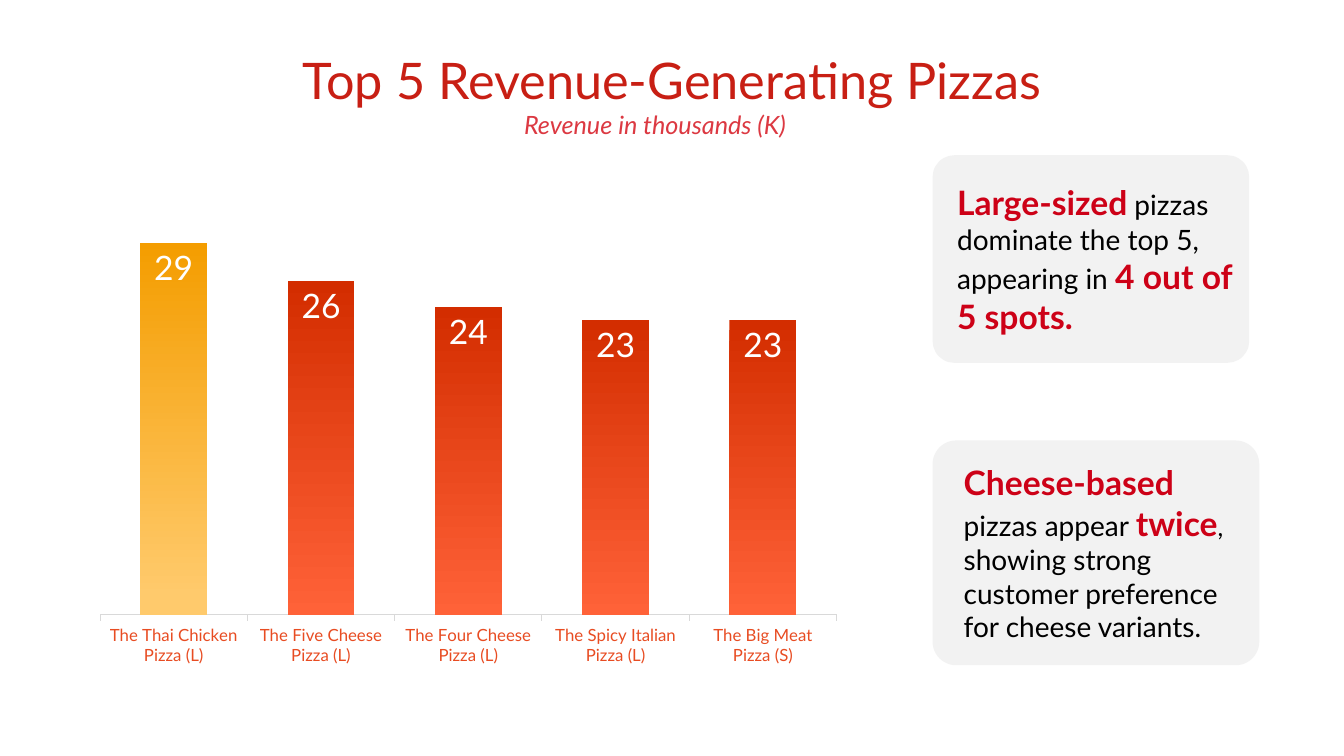
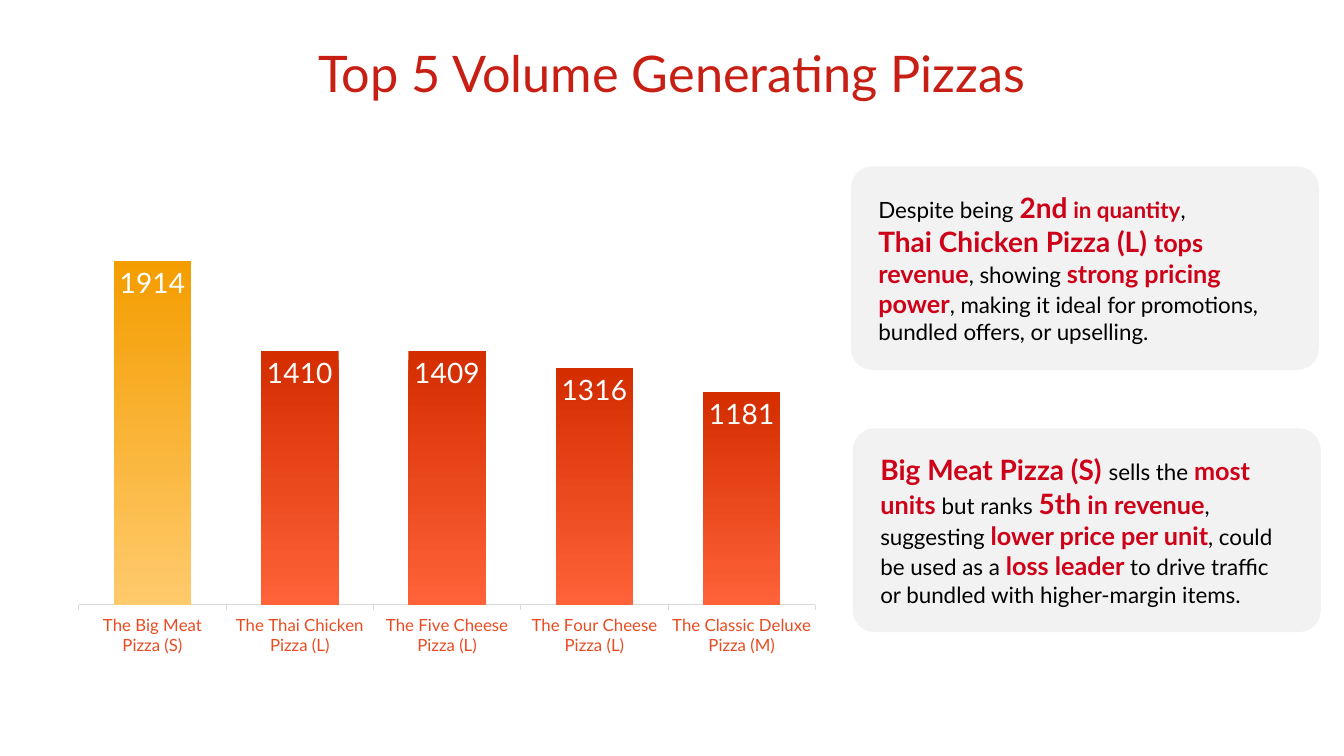
import pptx
import pptx.chart.data
import pptx.dml.color
import pptx.enum.chart
import pptx.enum.shapes
import pptx.enum.text
import pptx.oxml
import pptx.util

Inches, Pt = pptx.util.Inches, pptx.util.Pt

# Shared style
FONT = "Lato"
TITLE_RED, SUBTITLE_RED, STRONG_RED = "C81F14", "DC3942", "CD0117"
BLACK, WHITE, CARD_GREY, AXIS_GREY, CATEGORY_ORANGE = "000000", "FFFFFF", "F2F2F2", "D9D9D9", "E84C22"
LEADER_GRADIENT = ("F49D00", "FFCA6C")
OTHER_GRADIENT = ("D32D00", "FF6238")
CHART_SIZE = (7.61, 5.18)
PLOT_AREA = {"x": 0.02, "y": 0.02, "w": 0.96, "h": 0.86}  # fractions of the chart

# Content: a card run is (text, size) or (text, size, True) for emphasis
SLIDES = [
    {
        "title": "Top 5 Revenue-Generating Pizzas",
        "title_box": (2.53, 0.43, 8.27, 0.71),
        "subtitle": "Revenue in thousands (K)",
        "chart_at": (0.84, 1.54),
        "bars": [
            ("The Thai Chicken Pizza (L)", 29),
            ("The Five Cheese Pizza (L)", 26),
            ("The Four Cheese Pizza (L)", 24),
            ("The Spicy Italian Pizza (L)", 23),
            ("The Big Meat Pizza (S)", 23),
        ],
        "axis_max": 35, "gap": 120, "label_size": 24, "leader_end": 0.95,
        "cards": [
            {"box": (9.25, 1.54, 3.14, 2.06), "margins": (0.18, 0.03), "paragraphs": [
                [("Large-sized", 24, True), (" pizzas dominate the top 5, appearing in ", 20),
                 ("4 out of 5 spots.", 24, True)],
            ]},
            {"box": (9.25, 4.37, 3.24, 2.23), "margins": (0.24, 0.03), "paragraphs": [
                [("Cheese-based", 24, True), (" ", 18), ("pizzas appear ", 20), ("twice", 24, True),
                 (", ", 18), ("showing strong customer preference for cheese variants.", 20)],
            ]},
        ],
    },
    {
        "title": "Top 5 Volume Generating Pizzas",
        "title_box": (2.03, 0.36, 9.27, 0.71),
        "subtitle": None,
        "chart_at": (0.63, 1.44),
        "bars": [
            ("The Big Meat Pizza (S)", 1914),
            ("The Thai Chicken Pizza (L)", 1410),
            ("The Five Cheese Pizza (L)", 1409),
            ("The Four Cheese Pizza (L)", 1316),
            ("The Classic Deluxe Pizza (M)", 1181),
        ],
        "axis_max": 2500, "gap": 90, "label_size": 20, "leader_end": 1.0,
        "cards": [
            {"box": (8.44, 1.65, 4.64, 2.02), "margins": (0.21, 0.21), "paragraphs": [
                [("Despite being ", 16), ("2nd", 20, True), (" ", 16), ("in quantity", 16, True), (",", 16)],
                [("Thai Chicken Pizza (L) ", 20, True), ("tops revenue", 18, True), (", showing ", 16),
                 ("strong pricing power", 18, True),
                 (", making it ideal for promotions, bundled offers, or upselling.", 16)],
            ]},
            {"box": (8.46, 4.25, 4.64, 2.02), "margins": (0.21, 0.21), "paragraphs": [
                [("Big Meat Pizza (S) ", 20, True), ("sells the ", 16), ("most units ", 18, True),
                 ("but ranks ", 16), ("5th", 20, True), (" in revenue", 18, True), (", suggesting ", 16),
                 ("lower price per unit", 18, True), (", could be used as a ", 16),
                 ("loss leader ", 18, True),
                 ("to drive traffic or bundled with higher-margin items.", 16)],
            ]},
        ],
    },
]


def color(hex_code):
    return pptx.dml.color.RGBColor.from_string(hex_code)


def style_font(font, size, hex_code):
    font.name, font.size = FONT, Pt(size)
    font.color.rgb = color(hex_code)


def add_title(slide, text, box):
    title = slide.shapes.title
    title.left, title.top, title.width, title.height = map(Inches, box)
    title.text_frame.text = text
    title.text_frame.auto_size = pptx.enum.text.MSO_AUTO_SIZE.NONE
    paragraph = title.text_frame.paragraphs[0]
    paragraph.alignment = pptx.enum.text.PP_ALIGN.CENTER
    style_font(paragraph.font, 36, TITLE_RED)


def add_subtitle(slide, text):
    subtitle = slide.shapes.add_textbox(*map(Inches, (5.1, 1.04, 3.14, 0.4)))
    subtitle.text_frame.word_wrap = True
    paragraph = subtitle.text_frame.paragraphs[0]
    paragraph.text = text
    style_font(paragraph.font, 18, SUBTITLE_RED)
    paragraph.font.italic = True


def fill_bar(point, stops, end):
    fill = point.format.fill
    fill.gradient()
    fill.gradient_angle = 270  # runs from top to bottom
    for stop, hex_code, position in zip(fill.gradient_stops, stops, (0, end)):
        stop.color.rgb = color(hex_code)
        stop.position = position


def fix_plot_area(chart):
    layout = pptx.oxml.parse_xml(
        '<c:layout xmlns:c="http://schemas.openxmlformats.org/drawingml/2006/chart"><c:manualLayout>'
        '<c:layoutTarget val="inner"/><c:xMode val="edge"/><c:yMode val="edge"/>'
        + "".join(f'<c:{side} val="{share}"/>' for side, share in PLOT_AREA.items())
        + "</c:manualLayout></c:layout>")
    plot_area = chart.plots[0]._element.getparent()
    for old_layout in plot_area.xpath("c:layout"):
        plot_area.remove(old_layout)
    plot_area.insert(0, layout)


def add_bar_chart(slide, content):
    data = pptx.chart.data.CategoryChartData()
    names, values = zip(*content["bars"])
    data.categories = names
    data.add_series("Series 1", values)
    chart = slide.shapes.add_chart(
        pptx.enum.chart.XL_CHART_TYPE.COLUMN_CLUSTERED,
        *map(Inches, content["chart_at"] + CHART_SIZE), data).chart
    chart.has_legend = chart.has_title = False
    chart.font.name, chart.font.size = "Calibri", Pt(10)
    fix_plot_area(chart)

    # Axes
    category_axis, value_axis = chart.category_axis, chart.value_axis
    style_font(category_axis.tick_labels.font, 12, CATEGORY_ORANGE)
    category_axis.major_tick_mark = pptx.enum.chart.XL_TICK_MARK.OUTSIDE
    category_axis.format.line.color.rgb = color(AXIS_GREY)
    category_axis.format.line.width = Pt(0.75)
    value_axis.visible = value_axis.has_major_gridlines = False
    value_axis.minimum_scale, value_axis.maximum_scale = 0, content["axis_max"]

    # Bars and their values
    plot = chart.plots[0]
    plot.gap_width, plot.overlap, plot.vary_by_categories = content["gap"], -27, False
    series = plot.series[0]
    series.format.fill.solid()
    series.format.fill.fore_color.rgb = color(STRONG_RED)
    fill_bar(series.points[0], LEADER_GRADIENT, content["leader_end"])
    for index in range(1, len(values)):
        fill_bar(series.points[index], OTHER_GRADIENT, 1.0)
    labels = series.data_labels
    labels.show_value = True
    labels.position = pptx.enum.chart.XL_LABEL_POSITION.INSIDE_END
    style_font(labels.font, content["label_size"], WHITE)


def add_card(slide, box, margins, paragraphs):
    card = slide.shapes.add_shape(pptx.enum.shapes.MSO_SHAPE.ROUNDED_RECTANGLE, *map(Inches, box))
    card.adjustments[0] = 0.105
    card.shadow.inherit = False
    card.fill.solid()
    card.fill.fore_color.rgb = color(CARD_GREY)
    card.line.fill.background()
    frame = card.text_frame
    frame.word_wrap = True
    frame.margin_left, frame.margin_right = map(Inches, margins)
    frame.vertical_anchor = pptx.enum.text.MSO_ANCHOR.MIDDLE
    for index, runs in enumerate(paragraphs):
        paragraph = frame.add_paragraph() if index else frame.paragraphs[0]
        paragraph.alignment = pptx.enum.text.PP_ALIGN.LEFT
        for text, size, *emphasis in runs:
            run = paragraph.add_run()
            run.text = text
            style_font(run.font, size, STRONG_RED if emphasis else BLACK)
            run.font.bold = bool(emphasis)


def main():
    presentation = pptx.Presentation()
    presentation.slide_width, presentation.slide_height = Inches(13.33), Inches(7.5)
    title_only = presentation.slide_layouts[5]
    for content in SLIDES:
        slide = presentation.slides.add_slide(title_only)
        add_title(slide, content["title"], content["title_box"])
        if content["subtitle"]:
            add_subtitle(slide, content["subtitle"])
        add_bar_chart(slide, content)
        for card in content["cards"]:
            add_card(slide, **card)
    presentation.save("out.pptx")


if __name__ == "__main__":
    main()
